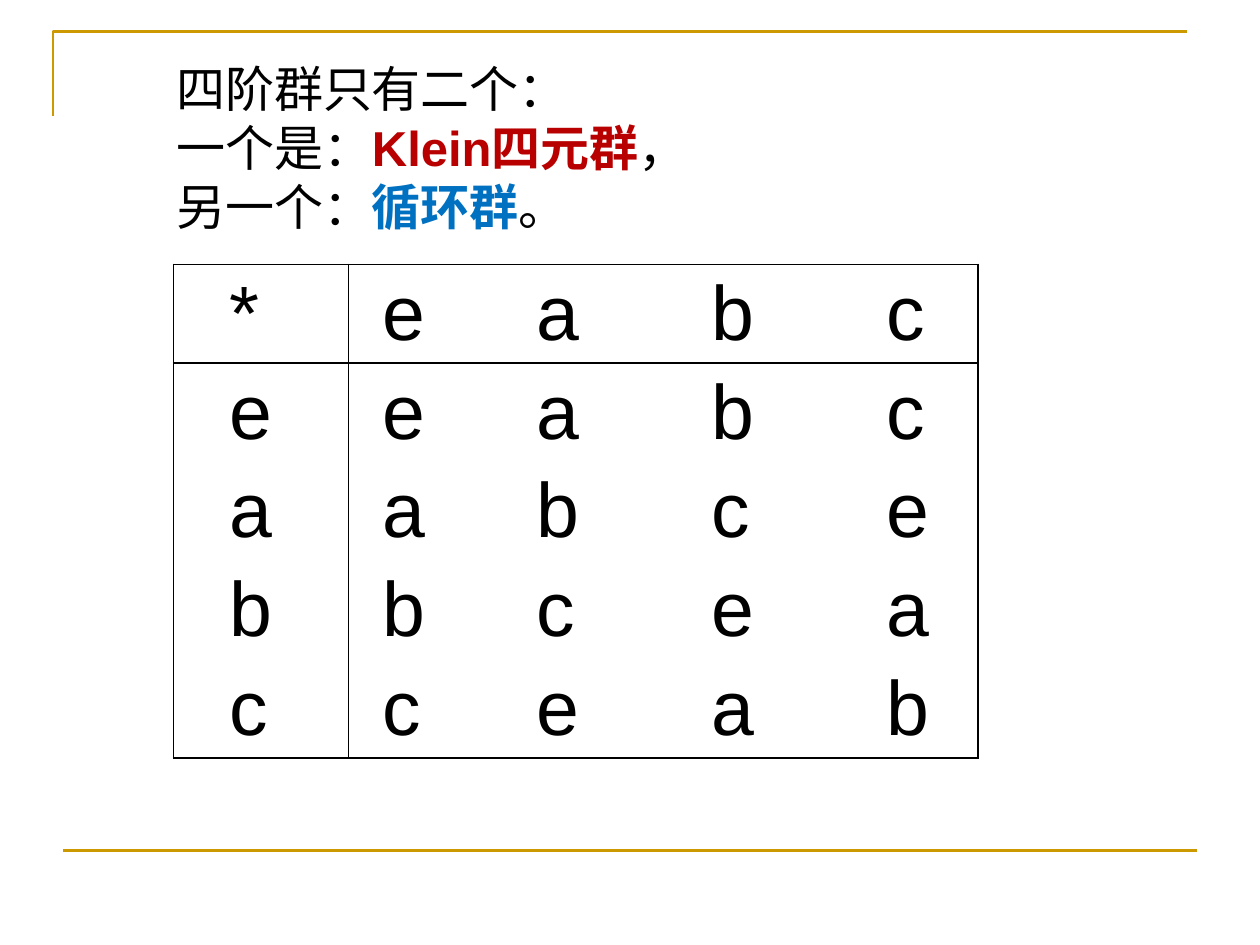
from lxml import etree
from pptx import Presentation
from pptx import util as u
from pptx.dml.color import RGBColor
from pptx.enum import shapes, text
from pptx.oxml.ns import qn

GOLD, BLACK, RED, BLUE = "CC9900", "000000", "B80000", "0070C0"


def style(font, size, color, bold=False):
    font.name, font.size, font.bold = "Arial", u.Pt(size), bold
    font.color.rgb = RGBColor.from_string(color)


def add_border(cell, side, shown):
    """Draw one side (L, R, T or B) of a cell in black, or leave it empty."""
    ln = etree.SubElement(cell._tc.get_or_add_tcPr(), qn("a:ln" + side), w=str(u.Pt(1)))
    if shown:
        fill = etree.SubElement(ln, qn("a:solidFill"))
        etree.SubElement(fill, qn("a:srgbClr"), val=BLACK)
    else:
        etree.SubElement(ln, qn("a:noFill"))


prs = Presentation()
prs.slide_width, prs.slide_height = u.Cm(25.4), u.Cm(19.05)
s = prs.slides.add_slide(prs.slide_layouts[5])

# Gold frame lines
builder = s.shapes.build_freeform(u.Cm(1.07), u.Cm(2.34))
builder.add_line_segments(
    [(u.Cm(1.07), u.Cm(0.64)), (u.Cm(23.93), u.Cm(0.64))], close=False)
corner = builder.convert_to_shape()
corner.shadow.inherit = False
corner.fill.background()
footer = s.shapes.add_connector(
    shapes.MSO_CONNECTOR.STRAIGHT, u.Cm(1.27), u.Cm(17.15), u.Cm(24.13), u.Cm(17.15))
etree.SubElement(footer._element.spPr, qn("a:effectLst"))
for sp in (corner, footer):
    sp.line.width = u.Pt(1.5)
    sp.line.color.rgb = RGBColor.from_string(GOLD)

# Statement
lines = [
    [("四阶群只有二个：", BLACK)],
    [("一个是：", BLACK), ("Klein四元群", RED), ("，", BLACK)],
    [("另一个：", BLACK), ("循环群", BLUE), ("。", BLACK)],
]
title = s.shapes.title
title.left, title.top, title.width, title.height = (
    u.Cm(3.3), u.Cm(1.04), u.Cm(20.68), u.Cm(3.84))
tf = title.text_frame
tf.word_wrap = True
tf.auto_size = text.MSO_AUTO_SIZE.NONE
tf.vertical_anchor = text.MSO_ANCHOR.MIDDLE
for i, line in enumerate(lines):
    p = tf.add_paragraph() if i else tf.paragraphs[0]
    p.alignment = text.PP_ALIGN.LEFT
    for words, color in line:
        r = p.add_run()
        r.text = words
        style(r.font, 28, color, bold=color != BLACK)

# Cayley table of the cyclic group: each row shifts the elements by one
elements = "eabc"
rows = ["*" + elements]
rows += [e + elements[i:] + elements[:i] for i, e in enumerate(elements)]
widths = [3.53, 3.53, 3.53, 3.53, 2.1]
indents = [1.12, 0.69, 0.25, 0.25, 0.25]
last = len(rows) - 1

table = s.shapes.add_table(
    len(rows), len(widths), u.Cm(3.5), u.Cm(5.33), u.Cm(sum(widths)), u.Cm(9.95)).table
table.first_row = table.horz_banding = False
for column, width in zip(table.columns, widths):
    column.width = u.Cm(width)
for row, symbols in enumerate(rows):
    table.rows[row].height = u.Cm(1.99)
    for col, symbol in enumerate(symbols):
        cell = table.cell(row, col)
        cell.text = symbol
        cell.margin_left = u.Cm(indents[col])
        cell.vertical_anchor = text.MSO_ANCHOR.MIDDLE
        style(cell.text_frame.paragraphs[0].runs[0].font, 44, BLACK)
        add_border(cell, "L", col < 2)
        add_border(cell, "R", col in (0, last))
        add_border(cell, "T", row < 2)
        add_border(cell, "B", row in (0, last))
        cell.fill.background()

prs.save("out.pptx")
